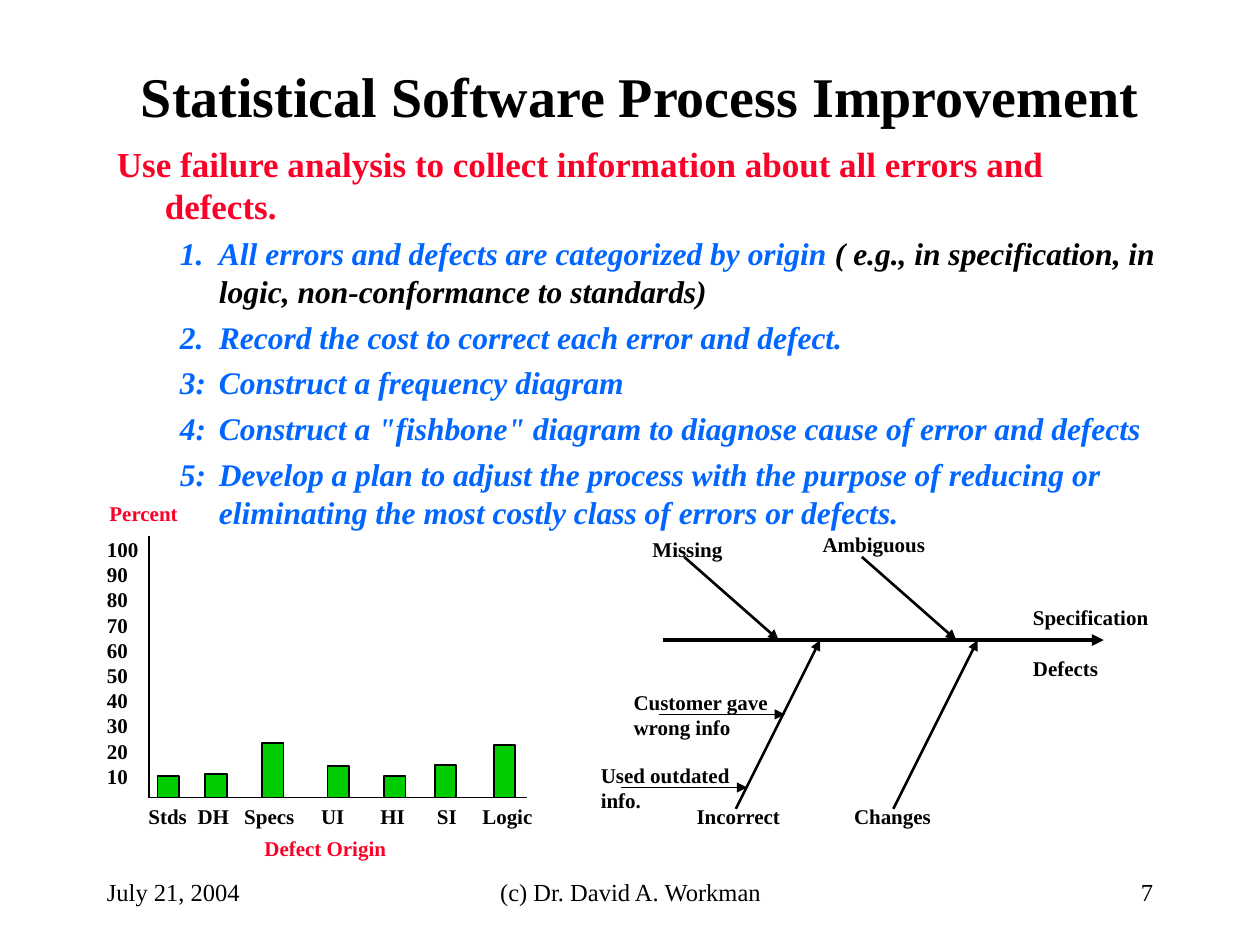
from lxml.etree import SubElement
from pptx import Presentation
from pptx.dml.color import RGBColor
from pptx.enum.shapes import MSO_CONNECTOR, MSO_SHAPE
from pptx.enum.text import MSO_ANCHOR, PP_ALIGN
from pptx.oxml.ns import qn
from pptx.util import Inches, Pt

BLACK = RGBColor(0x00, 0x00, 0x00)
RED = RGBColor(0xFC, 0x01, 0x28)
BLUE = RGBColor(0x00, 0x66, 0xFF)
GREEN = RGBColor(0x00, 0xCC, 0x00)
FONT = "Times New Roman"

# Content: each paragraph is a string or a list of (text, colour) runs
TITLE = "Statistical Software Process Improvement"
LEAD = "Use failure analysis to collect information about all errors and defects."
STEPS = [
    [("1.\tAll errors and defects are categorized by origin ", BLUE),
     ("( e.g., in specification, in logic, non-conformance to standards)", BLACK)],
    [("2.\tRecord the cost to correct each error and defect.", BLUE)],
    [("3:\tConstruct a frequency diagram", BLUE)],
    [('4:\tConstruct a "fishbone" diagram to diagnose cause of error and defects', BLUE)],
    [("5:\tDevelop a plan to adjust the process with the purpose of reducing or "
      "eliminating the most costly class of errors or defects.", BLUE)],
]

# Frequency diagram: origin, label left, bar left, bar height
ORIGINS = [
    ("Stds", 1.08, 1.25, 0.17),
    ("DH", 1.47, 1.63, 0.19),
    ("Specs", 1.84, 2.08, 0.43),
    ("UI", 2.45, 2.60, 0.25),
    ("HI", 2.92, 3.05, 0.17),
    ("SI", 3.37, 3.45, 0.26),
    ("Logic", 3.73, 3.92, 0.42),
]
AXIS_LEFT, AXIS_TOP, AXIS_RIGHT, BASELINE = 1.18, 4.25, 4.18, 6.33
BAR_WIDTH, ORIGIN_WIDTH = 0.17, 0.7

# Fishbone diagram: labels as (lines, left, top, width, height)
SPINE = 5.08
FISHBONE_LABELS = [
    (["Incorrect"], 5.43, 6.33, 0.95, 0.3),
    (["Changes"], 6.68, 6.33, 0.9, 0.3),
    (["Ambiguous"], 6.43, 4.17, 1.1, 0.3),
    (["Missing"], 5.08, 4.21, 0.85, 0.3),
    (["Used outdated", "info."], 4.67, 6, 1.3, 0.5),
    (["Customer gave", "wrong info"], 4.93, 5.42, 1.35, 0.5),
]
UPPER_BONES = [5.43, 6.84]
LOWER_BONES = [5.84, 7.09]
CAUSES = [(4.93, 6.25), (5.23, 5.67)]

FOOTERS = [
    ("(c) Dr. David A. Workman", 3.42, 3.17, PP_ALIGN.CENTER),
    ("7", 7.17, 2.08, PP_ALIGN.RIGHT),
    ("July 21, 2004", 0.75, 2.08, PP_ALIGN.LEFT),
]

presentation = Presentation()
presentation.slide_width, presentation.slide_height = Inches(10), Inches(7.5)
slide = presentation.slides.add_slide(presentation.slide_layouts[6])


def write_paragraph(paragraph, runs, size=12, color=BLACK, bold=True, italic=False,
                    align=PP_ALIGN.LEFT, before=0, margin=0, indent=0):
    """Write a string, or a list of (text, colour) runs, into a paragraph."""
    properties = paragraph._p.get_or_add_pPr()
    properties.set("marL", str(Inches(margin)))
    properties.set("indent", str(Inches(indent)))
    paragraph.alignment = align
    paragraph.space_before = Pt(before)
    paragraph.line_spacing = Pt(size * 1.2)
    for text, run_color in [(runs, color)] if isinstance(runs, str) else runs:
        run = paragraph.add_run()
        run.text = text
        run.font.name, run.font.size = FONT, Pt(size)
        run.font.bold, run.font.italic = bold, italic
        run.font.color.rgb = run_color


def add_text(lines, left, top, width, height, anchor=MSO_ANCHOR.TOP, **text_format):
    box = slide.shapes.add_textbox(Inches(left), Inches(top), Inches(width), Inches(height))
    frame = box.text_frame
    frame.word_wrap, frame.vertical_anchor = True, anchor
    for index, line in enumerate(lines):
        paragraph = frame.add_paragraph() if index else frame.paragraphs[0]
        write_paragraph(paragraph, line, **text_format)
    return frame


def add_line(x1, y1, x2, y2, weight=1, arrow=True):
    line = slide.shapes.add_connector(
        MSO_CONNECTOR.STRAIGHT, Inches(x1), Inches(y1), Inches(x2), Inches(y2))
    line.line.color.rgb, line.line.width = BLACK, Pt(weight)
    if arrow:
        SubElement(line.line._get_or_add_ln(), qn("a:tailEnd"), type="triangle")
    SubElement(line._element.spPr, qn("a:effectLst"))


# Title and body
add_text([TITLE], 0.83, 0.42, 8.5, 0.67, anchor=MSO_ANCHOR.MIDDLE,
         size=32, align=PP_ALIGN.CENTER)
body = add_text([LEAD], 0.83, 1.08, 8.5, 3.42,
                size=20, color=RED, margin=0.38, indent=-0.38)
for step in STEPS:
    write_paragraph(body.add_paragraph(), step, size=18, italic=True,
                    before=4.5, margin=0.81, indent=-0.31)

# Fishbone diagram
add_line(5.26, SPINE, 8.76, SPINE, weight=2.25)
effect = add_text(["Specification"], 8.1, 4.75, 1.2, 0.7)
write_paragraph(effect.add_paragraph(), "Defects", before=14.4)
for x in UPPER_BONES:
    add_line(x, 4.42, x + 0.75, SPINE, weight=1.5)
for x in LOWER_BONES:
    add_line(x, 6.42, x + 0.67, SPINE, weight=1.5)
for x, y in CAUSES:
    add_line(x, y, x + 1, y)
for label in FISHBONE_LABELS:
    add_text(*label)

# Frequency diagram
add_line(AXIS_LEFT, AXIS_TOP, AXIS_LEFT, BASELINE, arrow=False)
add_line(AXIS_LEFT, BASELINE, AXIS_RIGHT, BASELINE, arrow=False)
add_text([str(percent) for percent in range(100, 0, -10)], 0.75, 4.21, 0.55, 2.1)
add_text(["Percent"], 0.77, 3.92, 0.85, 0.5, color=RED)
add_text(["Defect Origin"], 2, 6.58, 1.25, 0.3, color=RED)
for origin, label_left, bar_left, height in ORIGINS:
    add_text([origin], label_left, BASELINE, ORIGIN_WIDTH, 0.3)
    bar = slide.shapes.add_shape(
        MSO_SHAPE.RECTANGLE, Inches(bar_left), Inches(BASELINE - height),
        Inches(BAR_WIDTH), Inches(height))
    bar.shadow.inherit = False
    bar.fill.solid()
    bar.fill.fore_color.rgb = GREEN
    bar.line.color.rgb, bar.line.width = BLACK, Pt(1)

# Footer
for text, left, width, align in FOOTERS:
    add_text([text], left, 6.83, width, 0.5, anchor=MSO_ANCHOR.MIDDLE,
             size=14, bold=False, align=align)

presentation.save("out.pptx")
